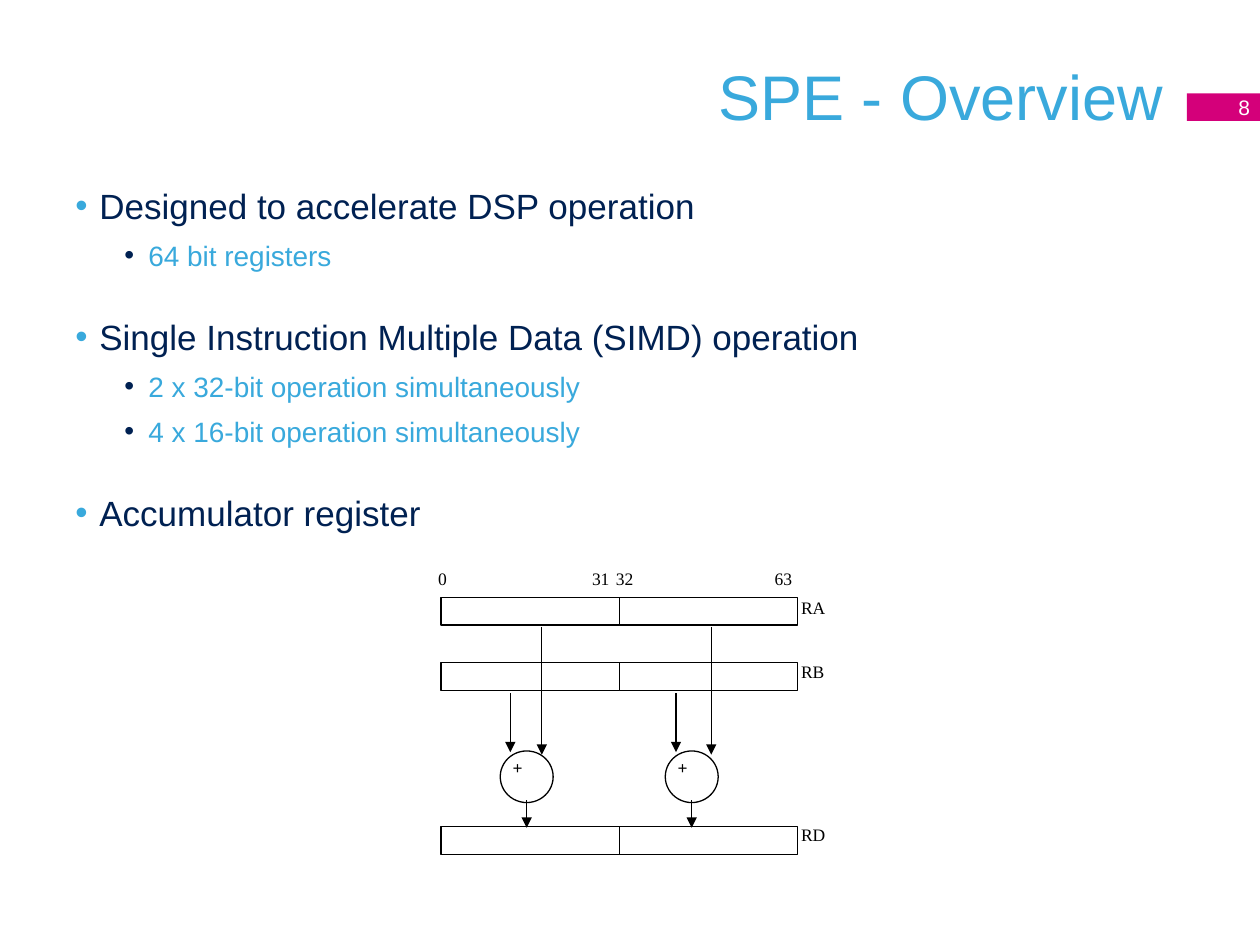
from lxml import etree
from pptx import Presentation
from pptx.dml.color import RGBColor
from pptx.enum.shapes import MSO_CONNECTOR, MSO_SHAPE
from pptx.enum.text import MSO_ANCHOR, PP_ALIGN
from pptx.oxml.ns import qn
from pptx.util import Inches, Pt

RECT, OVAL = MSO_SHAPE.RECTANGLE, MSO_SHAPE.OVAL
STRAIGHT = MSO_CONNECTOR.STRAIGHT
LEFT, RIGHT = PP_ALIGN.LEFT, PP_ALIGN.RIGHT
TOP, MIDDLE = MSO_ANCHOR.TOP, MSO_ANCHOR.MIDDLE

COLORS = {"sky": "39A9DC", "navy": "002152", "pink": "D4007A",
          "white": "FFFFFF", "black": "000000"}
SANS, SERIF = "Arial", "Times New Roman"

BULLETS = [
    (0, "Designed to accelerate DSP operation"),
    (1, "64 bit registers"),
    (0, "Single Instruction Multiple Data (SIMD) operation"),
    (1, "2 x 32-bit operation simultaneously"),
    (1, "4 x 16-bit operation simultaneously"),
    (0, "Accumulator register"),
]
# Per level: size, text colour, bullet colour, indent, space before
LEVELS = [(20, "navy", "sky", 0.19, 18), (16, "sky", "navy", 0.58, 0)]

REG_LEFT, HALF_W, REG_H = 3.5, 1.415, 0.22
# Name, top of the register, top of its label
REGISTERS = [("RA", 4.74, 4.69), ("RB", 5.26, 5.2), ("RD", 6.56, 6.49)]
BIT_LABELS = [("0", 3.38, 0.34), ("31", 4.6, 0.52), ("32", 4.79, 0.5), ("63", 6.05, 0.46)]
# Left of the adder, x of the arrow from RA, x of the arrow from RB
ADDERS = [(3.97, 4.3, 4.05), (5.28, 5.645, 5.365)]
ADDER_TOP, ADDER_W, ADDER_H = 5.96, 0.42, 0.41


def rgb(name):
    return RGBColor.from_string(COLORS[name])


class SlideBuilder:
    """Holds the current slide and draws styled elements on it."""

    def __init__(self, slide, line_width=0.75):
        self.s = slide
        self.line_width = Pt(line_width)

    def run(self, p, text, size, color, font, bold=False):
        r = p.add_run()
        r.text = text
        r.font.size = Pt(size)
        r.font.name = font
        r.font.bold = bold
        r.font.color.rgb = rgb(color)

    def text(self, box, text, size, color, font=SANS, align=LEFT, anchor=TOP, bold=False):
        tb = self.s.shapes.add_textbox(*map(Inches, box))
        self.fill_text(tb.text_frame, text, size, color, font, align, anchor, bold)

    def fill_text(self, tf, text, size, color, font, align, anchor, bold=False):
        tf.word_wrap = True
        tf.vertical_anchor = anchor
        p = tf.paragraphs[0]
        p.alignment = align
        self.run(p, text, size, color, font, bold)

    def label(self, box, text, bold=False):
        self.text(box, text, 10, "black", SERIF, bold=bold)

    def shape(self, kind, box, fill=None, line=None):
        sp = self.s.shapes.add_shape(kind, *map(Inches, box))
        sp.shadow.inherit = False
        if fill:
            sp.fill.solid()
            sp.fill.fore_color.rgb = rgb(fill)
        else:
            sp.fill.background()
        if line:
            sp.line.color.rgb = rgb(line)
            sp.line.width = self.line_width
        else:
            sp.line.fill.background()
        return sp

    def down_arrow(self, x, top, bottom):
        cn = self.s.shapes.add_connector(
            STRAIGHT, Inches(x), Inches(top), Inches(x), Inches(bottom))
        cn.line.color.rgb = rgb("black")
        cn.line.width = self.line_width
        etree.SubElement(cn.line._get_or_add_ln(), qn("a:tailEnd"), type="triangle")
        etree.SubElement(cn._element.spPr, qn("a:effectLst"))

    def page_number(self, box, text):
        sp = self.shape(RECT, box, fill="pink")
        self.fill_text(sp.text_frame, text, 12, "white", SANS, RIGHT, MIDDLE)

    def bullets(self, box, items):
        tf = self.s.shapes.add_textbox(*map(Inches, box)).text_frame
        tf.word_wrap = True
        for i, (level, text) in enumerate(items):
            size, color, bullet_color, indent, before = LEVELS[level]
            p = tf.add_paragraph() if i else tf.paragraphs[0]
            p.level = level
            p.line_spacing = 1.04
            p.space_before = Pt(before if i else 0)
            p.space_after = Pt(6)
            self.bullet(p, bullet_color, indent)
            self.run(p, text, size, color, SANS)

    def bullet(self, p, color, indent):
        pPr = p._p.get_or_add_pPr()
        pPr.set("marL", str(Inches(indent)))
        pPr.set("indent", str(-Inches(0.19)))
        clr = etree.SubElement(pPr, qn("a:buClr"))
        etree.SubElement(clr, qn("a:srgbClr"), val=COLORS[color])
        etree.SubElement(pPr, qn("a:buFont"), typeface=SANS)
        etree.SubElement(pPr, qn("a:buChar"), char="•")

    def register(self, name, top, label_top):
        for half in range(2):
            self.shape(RECT, (REG_LEFT + half * HALF_W, top, HALF_W, REG_H),
                       fill="white", line="black")
        self.label((6.26, label_top, 0.73, 0.36), name)

    def adder(self, left, ra_x, rb_x):
        """Draw an adder with its two input arrows and its output arrow."""
        self.down_arrow(ra_x, 4.98, 5.99)
        self.down_arrow(rb_x, 5.5, 5.97)
        self.label((left, ADDER_TOP, 0.39, 0.43), "+", bold=True)
        self.shape(OVAL, (left, ADDER_TOP, ADDER_W, ADDER_H), line="black")
        self.down_arrow(left + ADDER_W / 2, 6.35, 6.57)


def main():
    prs = Presentation()
    prs.slide_width, prs.slide_height = Inches(10), Inches(7.5)
    b = SlideBuilder(prs.slides.add_slide(prs.slide_layouts[6]))

    b.text((0.5, 0.13, 8.83, 1.25), "SPE - Overview", 36, "sky", align=RIGHT, anchor=MIDDLE)
    b.bullets((0.5, 1.4, 9, 2.84), BULLETS)
    b.page_number((9.42, 0.74, 0.6, 0.22), "8")

    for register in REGISTERS:
        b.register(*register)
    for adder in ADDERS:
        b.adder(*adder)
    for text, left, width in BIT_LABELS:
        b.label((left, 4.46, width, 0.34), text)

    prs.save("out.pptx")


if __name__ == "__main__":
    main()
